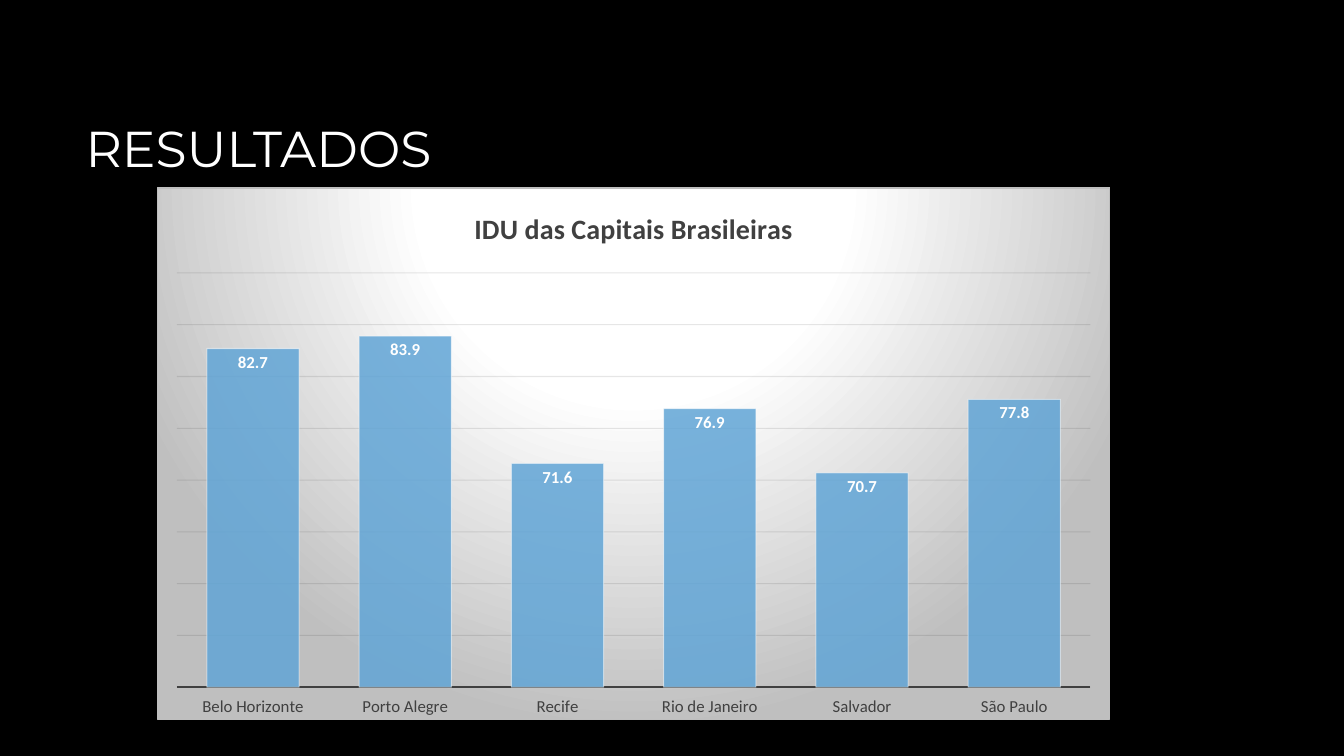
from lxml import etree
from pptx import Presentation
from pptx.chart.data import CategoryChartData
from pptx.dml.color import RGBColor
from pptx.enum.chart import XL_CHART_TYPE, XL_LABEL_POSITION, XL_TICK_LABEL_POSITION, XL_TICK_MARK
from pptx.enum.text import MSO_ANCHOR
from pptx.oxml import parse_xml
from pptx.oxml.ns import nsdecls, qn
from pptx.util import Inches, Pt

COLUMNS = XL_CHART_TYPE.COLUMN_CLUSTERED
INSIDE_END = XL_LABEL_POSITION.INSIDE_END
LABELS_LOW = XL_TICK_LABEL_POSITION.LOW
NO_TICK = XL_TICK_MARK.NONE
MIDDLE = MSO_ANCHOR.MIDDLE

WHITE, BLACK, DARK, GRAY, BLUE = "FFFFFF", "000000", "404040", "BFBFBF", "61A5D6"
CITY_SCORES = {
    "Belo Horizonte": 82.7,
    "Porto Alegre": 83.9,
    "Recife": 71.6,
    "Rio de Janeiro": 76.9,
    "Salvador": 70.7,
    "São Paulo": 77.8,
}
PLOT_LAYOUT = {"x": 0.02, "y": 0.16, "w": 0.96, "h": 0.78}
BACKDROP_STOPS = {0: WHITE, 39: WHITE, 100: GRAY}


def color(value):
    return RGBColor.from_string(value)


def set_values(target, values):
    for name, value in values.items():
        setattr(target, name, value)


def set_opacity(properties, percent):
    """Give every colour inside a fill or line the same opacity."""
    for rgb in properties.iter(qn("a:srgbClr")):
        etree.SubElement(rgb, qn("a:alpha"), val=str(percent * 1000))


class SlideBuilder:
    heading_font = "Montserrat"
    chart_font = "Calibri"

    def __init__(self, presentation):
        self.slide = presentation.slides.add_slide(presentation.slide_layouts[6])

    def background(self, fill_color):
        fill = self.slide.background.fill
        fill.solid()
        fill.fore_color.rgb = color(fill_color)

    def style_font(self, font, size, font_color, name=chart_font, bold=False):
        set_values(font, {"size": Pt(size), "name": name, "bold": bold})
        font.color.rgb = color(font_color)

    def style_line(self, line, line_color, width):
        line.color.rgb = color(line_color)
        line.width = Pt(width)

    def heading(self, text, left, top, width, height):
        box = self.slide.shapes.add_textbox(*map(Inches, (left, top, width, height)))
        set_values(box.text_frame, {"word_wrap": True, "vertical_anchor": MIDDLE})
        run = box.text_frame.paragraphs[0].add_run()
        run.text = text
        self.style_font(run.font, 36, WHITE, self.heading_font)

    def column_chart(self, title, scores, left, top, width, height):
        data = CategoryChartData(number_format="0.0")
        data.categories = list(scores)
        data.add_series("Series 1", list(scores.values()))
        frame = self.slide.shapes.add_chart(
            COLUMNS, *map(Inches, (left, top, width, height)), data)
        chart = frame.chart
        set_values(chart, {"has_legend": False, "has_title": True})
        self.style_font(chart.font, 10, WHITE)

        # Chart title
        title_run = chart.chart_title.text_frame.paragraphs[0].add_run()
        title_run.text = title
        self.style_font(title_run.font, 20, DARK, bold=True)
        chart.chart_title.include_in_layout = False

        self.style_axes(chart)
        self.style_columns(chart.plots[0])
        self.style_backdrop(chart)
        self.place_plot(chart)

    def style_axes(self, chart):
        cities = chart.category_axis
        set_values(cities, {"major_tick_mark": NO_TICK, "minor_tick_mark": NO_TICK,
                            "tick_label_position": LABELS_LOW})
        self.style_font(cities.tick_labels.font, 12, DARK)
        self.style_line(cities.format.line, DARK, 1.5)
        scale = chart.value_axis
        set_values(scale, {"minimum_scale": 50, "maximum_scale": 90, "major_unit": 5,
                           "visible": False, "has_major_gridlines": True})
        grid = scale.major_gridlines
        self.style_line(grid.format.line, "0D0D0D", 0.75)
        set_opacity(grid.format.line._get_or_add_ln(), 10)

    def style_columns(self, plot):
        set_values(plot, {"gap_width": 65, "vary_by_categories": False})
        series = plot.series[0]
        series.invert_if_negative = False
        series.format.fill.solid()
        series.format.fill.fore_color.rgb = color(BLUE)
        properties = series._element.spPr
        set_opacity(properties, 85)
        self.style_line(series.format.line, WHITE, 0.75)
        set_opacity(properties.find(qn("a:ln")), 50)
        labels = series.data_labels
        set_values(labels, {"show_value": True, "position": INSIDE_END,
                            "number_format": "0.0", "number_format_is_linked": False})
        self.style_font(labels.font, 12, WHITE, bold=True)

    def style_backdrop(self, chart):
        stops = "".join(
            f'<a:gs pos="{position * 1000}"><a:srgbClr val="{value}"/></a:gs>'
            for position, value in BACKDROP_STOPS.items())
        backdrop = parse_xml(
            f'<c:spPr {nsdecls("c", "a")}><a:gradFill><a:gsLst>{stops}</a:gsLst>'
            '<a:path path="circle">'
            '<a:fillToRect l="50000" t="-80000" r="50000" b="180000"/></a:path></a:gradFill>'
            f'<a:ln w="{Pt(0.75)}"><a:solidFill><a:srgbClr val="{GRAY}"/></a:solidFill></a:ln>'
            '</c:spPr>')
        chart._chartSpace.find(qn("c:chart")).addnext(backdrop)

    def place_plot(self, chart):
        plot_area = chart._chartSpace.find(".//" + qn("c:plotArea"))
        for automatic in plot_area.findall(qn("c:layout")):
            plot_area.remove(automatic)
        modes = "".join(f'<c:{side}Mode val="edge"/>' for side in "xy")
        sizes = "".join(f'<c:{side} val="{share}"/>' for side, share in PLOT_LAYOUT.items())
        plot_area.insert(0, parse_xml(
            f'<c:layout {nsdecls("c")}><c:manualLayout><c:layoutTarget val="inner"/>'
            f'{modes}{sizes}</c:manualLayout></c:layout>'))


def main():
    presentation = Presentation()
    set_values(presentation, {"slide_width": Inches(13.33), "slide_height": Inches(7.5)})
    builder = SlideBuilder(presentation)
    builder.background(BLACK)
    builder.heading("RESULTADOS", 0.75, 0.67, 11.08, 1.59)
    builder.column_chart("IDU das Capitais Brasileiras", CITY_SCORES, 1.56, 1.86, 9.45, 5.28)
    presentation.save("out.pptx")


if __name__ == "__main__":
    main()
